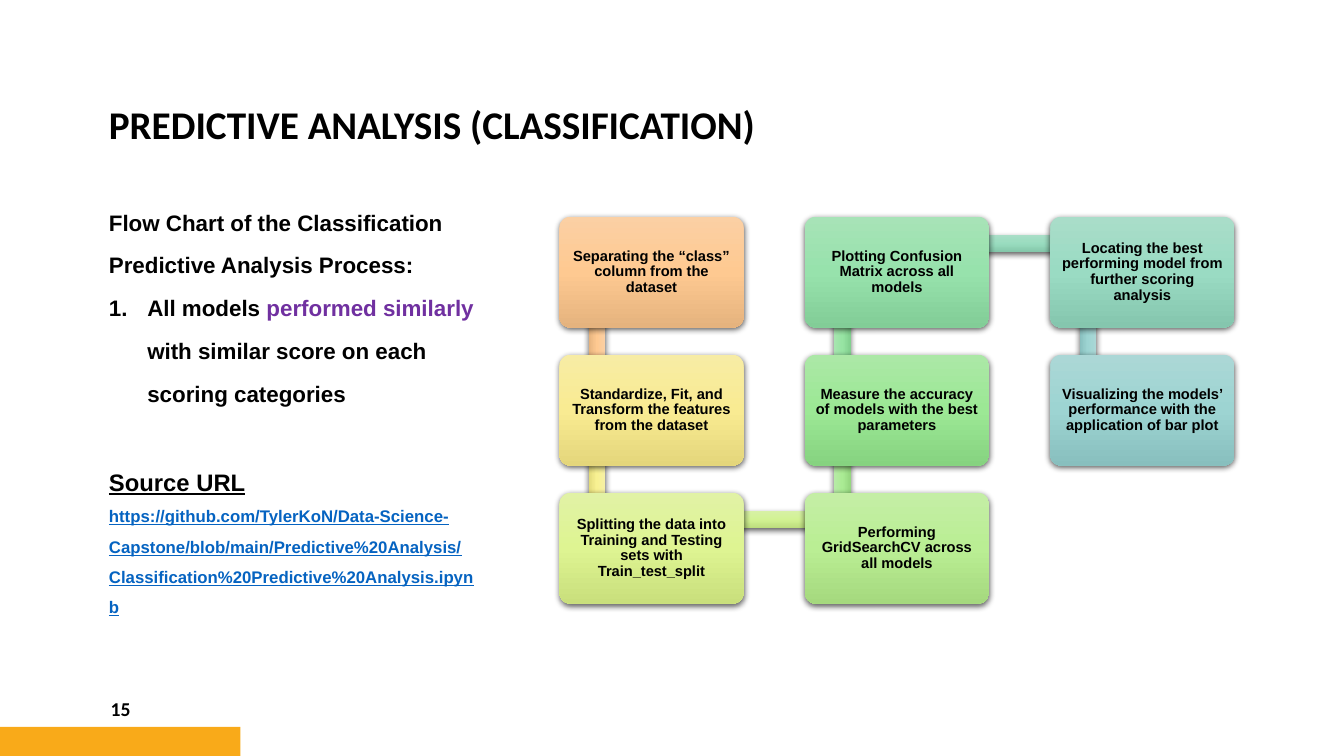
from dataclasses import dataclass

from lxml import etree
from pptx import Presentation
from pptx.dml.color import RGBColor
from pptx.enum.shapes import MSO_SHAPE
from pptx.enum.text import MSO_ANCHOR, MSO_AUTO_SIZE, PP_ALIGN
from pptx.oxml.ns import qn
from pptx.util import Pt

RECTANGLE = MSO_SHAPE.RECTANGLE
ROUNDED = MSO_SHAPE.ROUNDED_RECTANGLE
MIDDLE, BOTTOM = MSO_ANCHOR.MIDDLE, MSO_ANCHOR.BOTTOM
LEFT, CENTER = PP_ALIGN.LEFT, PP_ALIGN.CENTER
NO_AUTOFIT = MSO_AUTO_SIZE.NONE

BLACK = RGBColor(0x00, 0x00, 0x00)
ORANGE = RGBColor(0xF9, 0xAA, 0x19)
PURPLE = RGBColor(0x70, 0x30, 0xA0)
LINK_BLUE = RGBColor(0x05, 0x63, 0xC1)

# Flow chart grid, in points
GRID_LEFT, GRID_TOP = 399.6, 154.8
COLUMN_STEP, ROW_STEP = 175.3, 98.6
BOX_WIDTH, BOX_HEIGHT = 131.6, 79.2
ROWS = 3
BAR_THICKNESS = 11.9
BAR_INSET = 26.8
ACROSS_LENGTH, ACROSS_DROP = 174.6, 13.3
DOWN_LENGTH, DOWN_CENTER = 98, 68.4


@dataclass
class Step:
    text: str
    box_colors: str
    bar_colors: str = ""


@dataclass
class Span:
    text: str
    color: RGBColor = BLACK
    underline: bool = False


@dataclass
class Entry:
    spans: list[Span]
    size: float
    spacing: float
    numbered: bool = False
    before: float = 0


STEPS = [
    Step("Separating the “class” column from the dataset",
         "FBD0A4 FEC991 E5B37E", "FBD0A4 FEC991 E5B37E"),
    Step("Standardize, Fit, and Transform the features from the dataset",
         "F7ECA4 F9EB92 E4D67B", "F6F0A4 F8F192 E3DB7B"),
    Step("Splitting the data into Training and Testing sets with Train_test_split",
         "E1F2A5 DEF492 C9DF7C", "D7F1A5 D2F293 BCDD7D"),
    Step("Performing GridSearchCV across all models",
         "C4EEA5 BAEE94 A5D97E", "B7EBA6 AAEB94 95D67F"),
    Step("Measure the accuracy of models with the best parameters",
         "ABE8A6 9CE895 86D380", "A7E5B0 97E4A3 81CF8E"),
    Step("Plotting Confusion Matrix across all models",
         "A7E3B7 97E2AC 82CD97", "A9DEC7 99DCBF 84C7AA"),
    Step("Locating the best performing model from further scoring analysis",
         "A9DDC9 9ADBC3 85C6AE", "ABD7D6 9DD4D2 88BFBE"),
    Step("Visualizing the models’ performance with the application of bar plot",
         "ABD7D6 9DD4D2 88BFBE"),
]

NOTEBOOK_URL = ("https://github.com/TylerKoN/Data-Science-Capstone/blob/main/"
                "Predictive%20Analysis/Classification%20Predictive%20Analysis.ipynb")
ENTRIES = [
    Entry([Span("Flow Chart of the Classification Predictive Analysis Process:")], 16, 1.6),
    Entry([Span("All models "), Span("performed similarly ", PURPLE),
           Span("with similar score on each scoring categories")], 16, 1.6, numbered=True),
    Entry([Span("Source URL", underline=True)], 17, 1.6, before=30.7),
    Entry([Span(NOTEBOOK_URL, LINK_BLUE, True)], 12, 1.5),
]


def place(shape, left: float, top: float, width: float, height: float) -> None:
    shape.left, shape.top = Pt(left), Pt(top)
    shape.width, shape.height = Pt(width), Pt(height)


def style(font, name: str, size: float, color: RGBColor = BLACK) -> None:
    font.name, font.size, font.bold = name, Pt(size), True
    font.color.rgb = color


def set_marker(paragraph, numbered: bool) -> None:
    """Number the paragraph with a hanging indent, or clear its bullet."""
    properties = paragraph._p.get_or_add_pPr()
    indent = Pt(27.4) if numbered else 0
    properties.set("marL", str(indent))
    properties.set("indent", str(-indent))
    if numbered:
        etree.SubElement(properties, qn("a:buFont"), typeface="+mj-lt")
        etree.SubElement(properties, qn("a:buAutoNum"), type="arabicPeriod")
    else:
        etree.SubElement(properties, qn("a:buNone"))


def add_shaded(page, kind, left: float, top: float, width: float, height: float,
               colors: str):
    """Add a shape with a vertical three-colour gradient and a soft shadow."""
    shape = page.shapes.add_shape(kind, Pt(left), Pt(top), Pt(width), Pt(height))
    properties = shape._element.spPr
    gradient = etree.SubElement(properties, qn("a:gradFill"), rotWithShape="1")
    stops = etree.SubElement(gradient, qn("a:gsLst"))
    for position, color in zip((0, 50000, 100000), colors.split()):
        stop = etree.SubElement(stops, qn("a:gs"), pos=str(position))
        etree.SubElement(stop, qn("a:srgbClr"), val=color)
    etree.SubElement(gradient, qn("a:lin"), ang="5400000", scaled="0")
    shape.line.fill.background()
    shape.shadow.inherit = False
    shadow = etree.SubElement(
        properties.find(qn("a:effectLst")), qn("a:outerShdw"), blurRad=str(Pt(4.5)),
        dist=str(Pt(1.5)), dir="5400000", algn="ctr", rotWithShape="0")
    shade = etree.SubElement(shadow, qn("a:srgbClr"), val="000000")
    etree.SubElement(shade, qn("a:alpha"), val="63000")
    return shape


def grid_cell(index: int) -> tuple[int, int]:
    """Column and row of a step; odd columns run upwards."""
    column, row = divmod(index, ROWS)
    return column, ROWS - 1 - row if column % 2 else row


def add_bar(page, index: int, colors: str) -> None:
    column, row = grid_cell(index)
    next_column, next_row = grid_cell(index + 1)
    left = GRID_LEFT + column * COLUMN_STEP + BAR_INSET
    top = GRID_TOP + min(row, next_row) * ROW_STEP
    if column != next_column:
        add_shaded(page, RECTANGLE, left, top + ACROSS_DROP,
                   ACROSS_LENGTH, BAR_THICKNESS, colors)
        return
    bar = add_shaded(page, RECTANGLE, left - DOWN_LENGTH / 2,
                     top + DOWN_CENTER - BAR_THICKNESS / 2,
                     DOWN_LENGTH, BAR_THICKNESS, colors)
    bar.rotation = 90 if next_row > row else 270


def add_step(page, index: int, step: Step) -> None:
    column, row = grid_cell(index)
    box = add_shaded(page, ROUNDED, GRID_LEFT + column * COLUMN_STEP,
                     GRID_TOP + row * ROW_STEP, BOX_WIDTH, BOX_HEIGHT, step.box_colors)
    box.adjustments[0] = 0.1
    frame = box.text_frame
    frame.text = step.text
    frame.word_wrap, frame.vertical_anchor = True, MIDDLE
    frame.margin_left = frame.margin_right = Pt(5)
    frame.margin_top = frame.margin_bottom = Pt(5)
    para = frame.paragraphs[0]
    para.alignment, para.line_spacing = CENTER, 0.9
    style(para.runs[0].font, "Arial", 10.5)


def add_title(page) -> None:
    title = page.shapes.title
    place(title, 70.6, 10.8, 626.4, 98.6)
    frame = title.text_frame
    frame.text = "PREDICTIVE ANALYSIS (CLASSIFICATION)"
    frame.vertical_anchor, frame.auto_size = BOTTOM, NO_AUTOFIT
    para = frame.paragraphs[0]
    para.alignment, para.line_spacing = LEFT, 0.9
    style(para.runs[0].font, "Calibri", 28)


def add_summary(page) -> None:
    body = page.placeholders[1]
    place(body, 70.6, 133.9, 277.9, 317.5)
    frame = body.text_frame
    frame.auto_size = NO_AUTOFIT
    for index, entry in enumerate(ENTRIES):
        para = frame.add_paragraph() if index else frame.paragraphs[0]
        set_marker(para, entry.numbered)
        para.line_spacing = entry.spacing
        para.space_before = Pt(entry.before)
        style(para.font, "Arial", entry.size)
        for span in entry.spans:
            run = para.add_run()
            run.text = span.text
            style(run.font, "Arial", entry.size, span.color)
            run.font.underline = span.underline


def add_footer(page) -> None:
    band = page.shapes.add_shape(RECTANGLE, Pt(0), Pt(519.1), Pt(171.8), Pt(20.9))
    band.shadow.inherit = False
    band.fill.solid()
    band.fill.fore_color.rgb = ORANGE
    band.line.fill.background()
    number = page.shapes.add_textbox(Pt(72), Pt(491.8), Pt(93.6), Pt(28.8))
    number.text_frame.text = "15"
    number.text_frame.word_wrap = True
    number.text_frame.vertical_anchor = MIDDLE
    style(number.text_frame.paragraphs[0].runs[0].font, "Calibri", 14)


def main() -> None:
    deck = Presentation()
    deck.slide_width, deck.slide_height = Pt(960), Pt(540)
    page = deck.slides.add_slide(deck.slide_layouts[1])
    add_footer(page)
    add_title(page)
    add_summary(page)
    # Each bar lies beneath the boxes it joins
    for index, step in enumerate(STEPS):
        if step.bar_colors:
            add_bar(page, index, step.bar_colors)
        add_step(page, index, step)
    deck.save("out.pptx")


if __name__ == "__main__":
    main()
